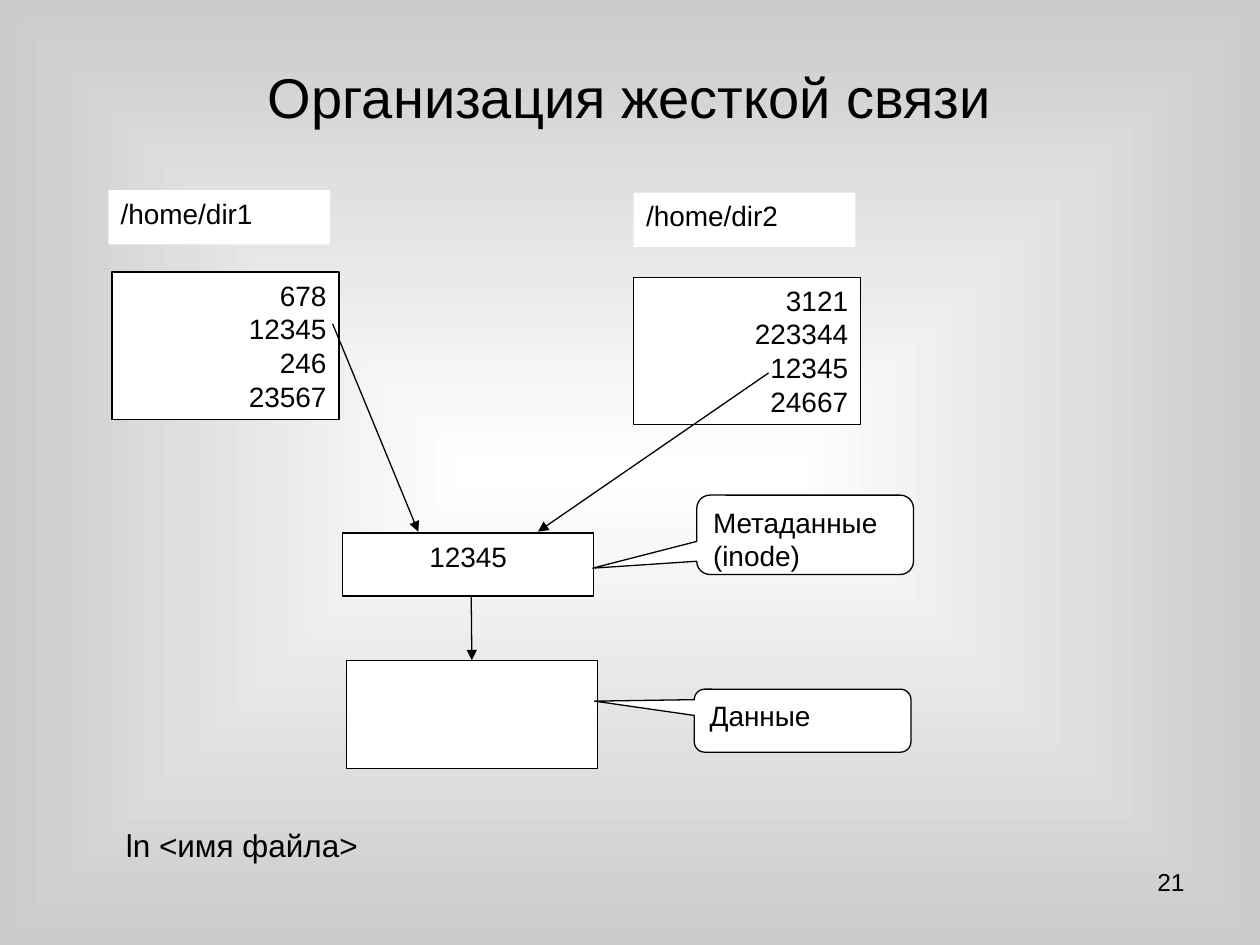
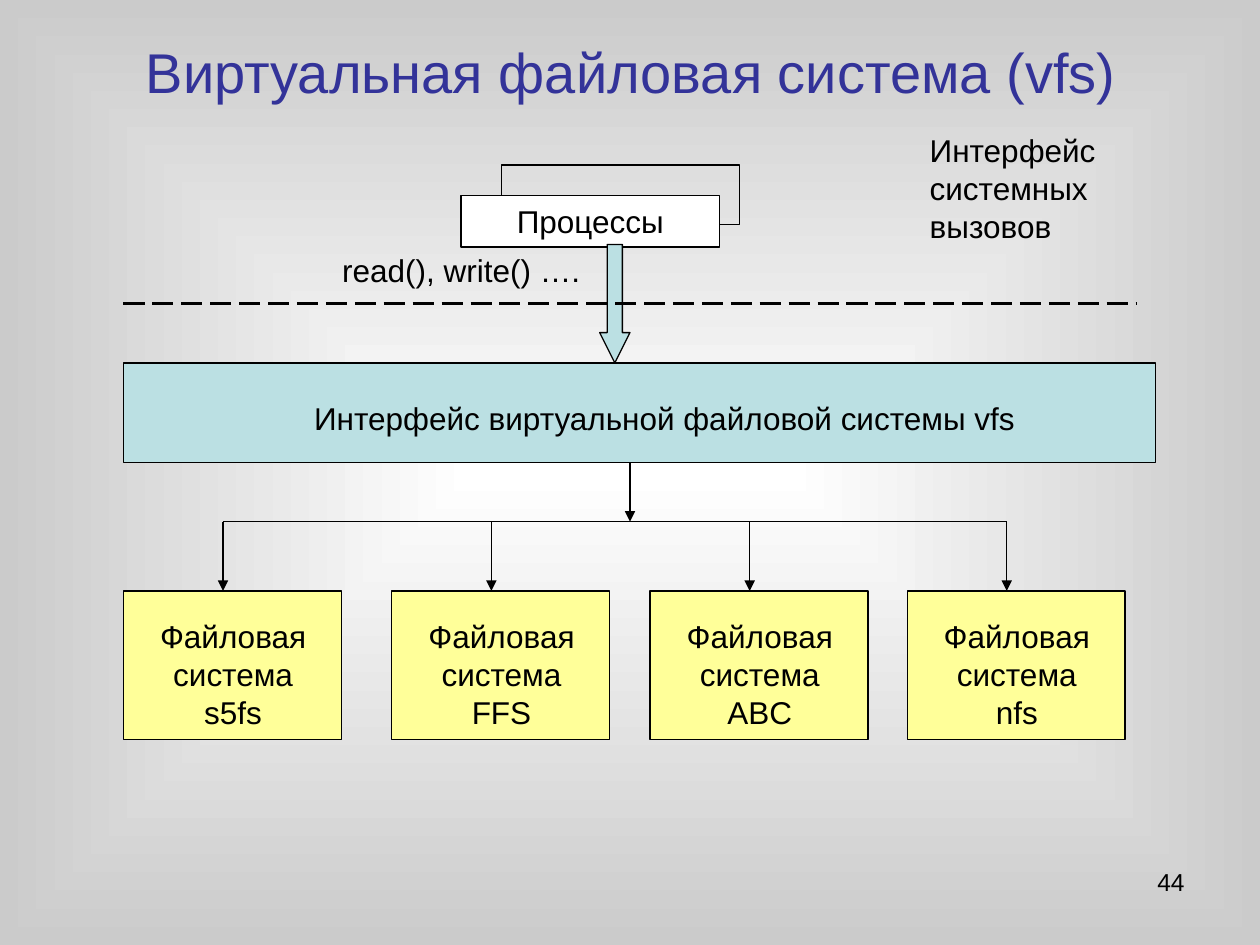
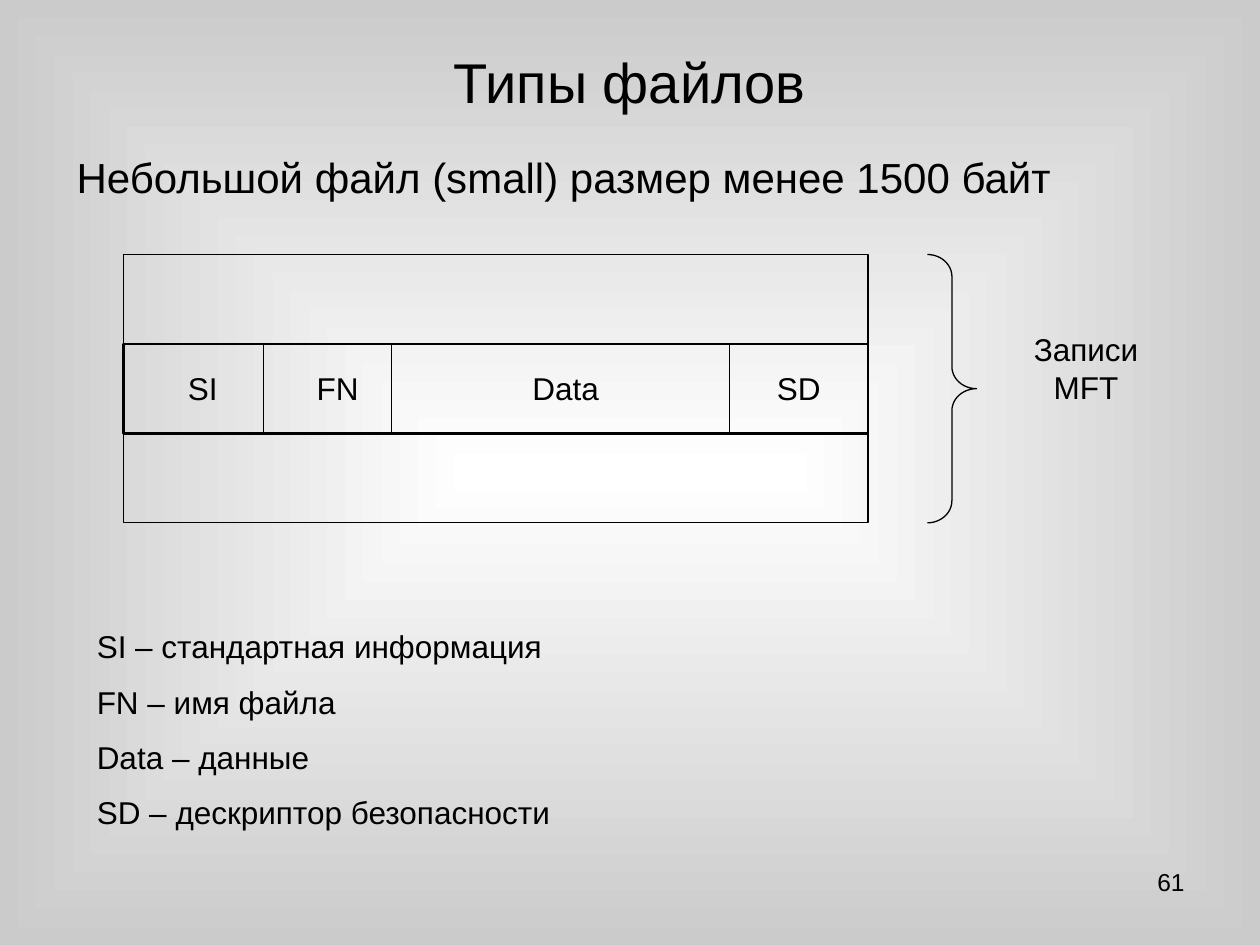
from dataclasses import dataclass
from typing import NamedTuple

from lxml.etree import SubElement
from pptx import Presentation
from pptx.dml.color import RGBColor
from pptx.enum.dml import MSO_LINE
from pptx.enum.shapes import MSO_CONNECTOR, MSO_SHAPE
from pptx.enum.text import MSO_ANCHOR, PP_ALIGN
from pptx.oxml.ns import qn
from pptx.presentation import Presentation as Deck
from pptx.shapes.autoshape import Shape
from pptx.shapes.connector import Connector
from pptx.slide import Slide
from pptx.util import Inches, Pt


@dataclass(frozen=True)
class Theme:
    """Colours, font and type sizes of the deck."""

    font: str = "Arial"
    black: RGBColor = RGBColor(0x00, 0x00, 0x00)
    white: RGBColor = RGBColor(0xFF, 0xFF, 0xFF)
    edge: RGBColor = RGBColor(0xCB, 0xCB, 0xCB)
    blue: RGBColor = RGBColor(0x33, 0x33, 0x99)
    teal: RGBColor = RGBColor(0xBB, 0xE0, 0xE3)
    yellow: RGBColor = RGBColor(0xFF, 0xFF, 0x99)
    title: int = 32
    lead: int = 24
    body: int = 18
    small: int = 16
    number: int = 14
    gap: int = 10
    thin: float = 0.75
    thick: float = 1.5


class Box(NamedTuple):
    """Left, top, width and height in inches."""

    left: float
    top: float
    width: float
    height: float


class Point(NamedTuple):
    """Position in inches."""

    x: float
    y: float


class Directory(NamedTuple):
    """Directory with its name plate and its list of inode numbers."""

    name: str
    plate: Box
    listing: Box
    inodes: str


class Callout(NamedTuple):
    """Speech bubble with its pointer offsets."""

    text: str
    box: Box
    pointer: tuple[float, float]


class FileSystem(NamedTuple):
    """File system name and the left side of its box."""

    name: str
    left: float


class Field(NamedTuple):
    """Record field with the place of its label."""

    name: str
    left: float
    width: float


THEME = Theme()
LEFT, CENTER, RIGHT = PP_ALIGN.LEFT, PP_ALIGN.CENTER, PP_ALIGN.RIGHT

DIRECTORIES = [
    Directory("/home/dir1", Box(0.86, 1.51, 1.76, 0.43), Box(0.89, 2.16, 1.8, 1.17),
              "678\n12345\n246\n23567"),
    Directory("/home/dir2", Box(5.03, 1.53, 1.76, 0.43), Box(5.03, 2.2, 1.8, 1.17),
              "3121\n223344\n12345\n24667"),
]
CALLOUTS = [
    Callout("Метаданные (inode)", Box(5.53, 3.93, 1.72, 0.63), (-0.98, 0.42)),
    Callout("Данные", Box(5.51, 5.47, 1.72, 0.5), (-0.96, -0.31)),
]
FILE_SYSTEMS = [
    FileSystem("s5fs", 0.98),
    FileSystem("FFS", 3.11),
    FileSystem("ABC", 5.16),
    FileSystem("nfs", 7.2),
]
FIELDS = [
    Field("SI", 1.14, 0.94),
    Field("FN", 2.17, 1.02),
    Field("Data", 3.74, 1.5),
    Field("SD", 5.87, 0.94),
]
DIVIDERS = [2.09, 3.11, 5.79]
LEGEND = """SI – стандартная информация
FN – имя файла
Data – данные
SD – дескриптор безопасности"""


def write(shape: Shape, text: str, size: int, align: PP_ALIGN = LEFT,
          color: RGBColor = THEME.black, gap: int = 0) -> None:
    """Fill a shape with one paragraph for each line of text."""
    tf = shape.text_frame
    tf.word_wrap = True
    tf.vertical_anchor = MSO_ANCHOR.TOP
    tf.text = text
    for i, p in enumerate(tf.paragraphs):
        p.alignment = align
        p.font.name = THEME.font
        p.font.size = Pt(size)
        p.font.color.rgb = color
        if i and gap:
            p.space_before = Pt(gap)


def add_text(s: Slide, box: Box, text: str, size: int = THEME.body,
             align: PP_ALIGN = LEFT, color: RGBColor = THEME.black, gap: int = 0) -> Shape:
    """Add a wrapping text box."""
    sp = s.shapes.add_textbox(*map(Inches, box))
    write(sp, text, size, align, color, gap)
    return sp


def add_box(s: Slide, box: Box, fill: RGBColor | None = None,
            line: float | None = THEME.thin,
            kind: MSO_SHAPE = MSO_SHAPE.RECTANGLE) -> Shape:
    """Add a flat preset shape with an optional fill and outline."""
    sp = s.shapes.add_shape(kind, *map(Inches, box))
    sp.shadow.inherit = False
    if fill is None:
        sp.fill.background()
    else:
        sp.fill.solid()
        sp.fill.fore_color.rgb = fill
    if line is None:
        sp.line.fill.background()
    else:
        sp.line.color.rgb = THEME.black
        sp.line.width = Pt(line)
    return sp


def add_line(s: Slide, start: Point, end: Point, arrow: bool = False,
             width: float = THEME.thin, dash: MSO_LINE | None = None) -> Connector:
    """Add a straight line, dashed or with an arrowhead when asked."""
    line = s.shapes.add_connector(MSO_CONNECTOR.STRAIGHT, *map(Inches, (*start, *end)))
    line.line.color.rgb = THEME.black
    line.line.width = Pt(width)
    if dash is not None:
        line.line.dash_style = dash
    sp_pr = line.element.spPr
    if arrow:
        SubElement(sp_pr.find(qn("a:ln")), qn("a:tailEnd"), type="triangle")
    SubElement(sp_pr, qn("a:effectLst"))
    return line


def set_background(prs: Deck) -> None:
    """Give the master a gradient that lightens towards the centre."""
    master = prs.slide_master
    fill = master.background.fill
    fill.gradient()
    for stop, color in zip(fill.gradient_stops, (THEME.white, THEME.edge)):
        stop.color.rgb = color
    grad = next(master.element.iter(qn("a:gradFill")))
    grad.remove(grad.find(qn("a:lin")))
    shade = SubElement(grad, qn("a:path"), path="shape")
    SubElement(shade, qn("a:fillToRect"), l="50000", t="50000", r="50000", b="50000")


def add_slide(prs: Deck, title: str, box: Box, number: int,
              color: RGBColor = THEME.black) -> Slide:
    """Add a blank slide with its title and number."""
    s = prs.slides.add_slide(prs.slide_layouts[6])
    add_text(s, Box(7.17, 6.83, 2.33, 0.52), str(number), THEME.number, RIGHT)
    sp = add_text(s, box, title, THEME.title, CENTER, color)
    sp.text_frame.vertical_anchor = MSO_ANCHOR.MIDDLE
    return s


def build_hard_link(prs: Deck) -> None:
    """Show two directory entries that share one inode."""
    s = add_slide(prs, "Организация жесткой связи", Box(0.5, 0.3, 9, 0.93), 21)
    for d in DIRECTORIES:
        write(add_box(s, d.plate, THEME.white, None), d.name, THEME.small)
        write(add_box(s, d.listing, THEME.white), d.inodes, THEME.small, RIGHT)
    inode = add_box(s, Box(2.72, 4.23, 1.99, 0.5), THEME.white)
    write(inode, "12345", THEME.small, CENTER)
    data = add_box(s, Box(2.75, 5.24, 1.99, 0.86), THEME.white)
    add_line(s, Point(2.64, 2.57), Point(3.32, 4.22), arrow=True)
    add_line(s, Point(6.1, 2.96), Point(4.27, 4.22), arrow=True)
    link = add_line(s, Point(3.74, 4.73), Point(3.74, 5.24), arrow=True)
    link.end_connect(data, 0)
    for c in CALLOUTS:
        sp = add_box(s, c.box, THEME.white, kind=MSO_SHAPE.ROUNDED_RECTANGULAR_CALLOUT)
        sp.adjustments[0], sp.adjustments[1] = c.pointer
        write(sp, c.text, THEME.small)
    add_text(s, Box(0.9, 6.51, 2.52, 0.4), "ln <имя файла>")


def build_vfs(prs: Deck) -> None:
    """Show the vfs layer between processes and file systems."""
    s = add_slide(prs, "Виртуальная файловая система (vfs)", Box(0.51, 0.21, 9, 0.71),
                  44, THEME.blue)
    add_box(s, Box(3.98, 1.31, 1.89, 0.47))
    process = add_box(s, Box(3.66, 1.55, 2.05, 0.41), THEME.white)
    write(process, "Процессы", THEME.body, CENTER)
    add_text(s, Box(7.28, 0.99, 2.05, 1), "Интерфейс системных вызовов")
    add_text(s, Box(2.32, 1.94, 2.68, 0.4), "read(), write() ….", align=CENTER)
    call = add_box(s, Box(4.76, 1.94, 0.24, 0.94), THEME.teal, kind=MSO_SHAPE.DOWN_ARROW)
    call.adjustments[1] = 1
    add_box(s, Box(0.98, 2.88, 8.19, 0.79), THEME.teal)
    add_text(s, Box(1.93, 3.12, 6.69, 0.4),
             "Интерфейс виртуальной файловой системы vfs", align=CENTER)

    bus, top, offset = 4.14, 4.69, 0.79
    for fs in FILE_SYSTEMS:
        add_box(s, Box(fs.left, top, 1.73, 1.18), THEME.yellow)
        add_text(s, Box(fs.left + 0.16, top + 0.16, 1.42, 1),
                 f"Файловая система {fs.name}", align=CENTER)
        x = fs.left + offset
        add_line(s, Point(x, bus), Point(x, top), arrow=True)
    add_line(s, Point(FILE_SYSTEMS[0].left + offset, bus),
             Point(FILE_SYSTEMS[-1].left + offset, bus))
    add_line(s, Point(5, 3.67), Point(5, bus), arrow=True)
    add_line(s, Point(0.98, 2.41), Point(9.02, 2.41), width=THEME.thick,
             dash=MSO_LINE.LONG_DASH)


def build_file_types(prs: Deck) -> None:
    """Show the MFT record of a small file."""
    s = add_slide(prs, "Типы файлов", Box(0.5, 0.3, 9, 0.69), 61)
    add_text(s, Box(0.51, 1.15, 8.5, 0.5),
             "Небольшой файл (small) размер менее 1500 байт", THEME.lead)
    top, height = 2.02, 0.71
    record = top + height
    for i, width in enumerate((THEME.thin, THEME.thick, THEME.thin)):
        add_box(s, Box(0.98, top + i * height, 5.91, height), line=width)
    for f in FIELDS:
        add_text(s, Box(f.left, record + 0.15, f.width, 0.4), f.name, align=CENTER)
    for x in DIVIDERS:
        add_line(s, Point(x, record), Point(x, record + height))
    brace = add_box(s, Box(7.36, top, 0.39, 3 * height), kind=MSO_SHAPE.RIGHT_BRACE)
    brace.adjustments[0] = 0.45
    add_text(s, Box(8.07, 2.57, 1.1, 0.7), "Записи MFT", align=CENTER)
    add_text(s, Box(0.67, 4.93, 8.66, 1.76), LEGEND, gap=THEME.gap)


def main() -> None:
    """Build and save the deck."""
    prs = Presentation()
    prs.slide_width, prs.slide_height = Inches(10), Inches(7.5)
    set_background(prs)
    for build in (build_hard_link, build_vfs, build_file_types):
        build(prs)
    prs.save("out.pptx")


if __name__ == "__main__":
    main()
